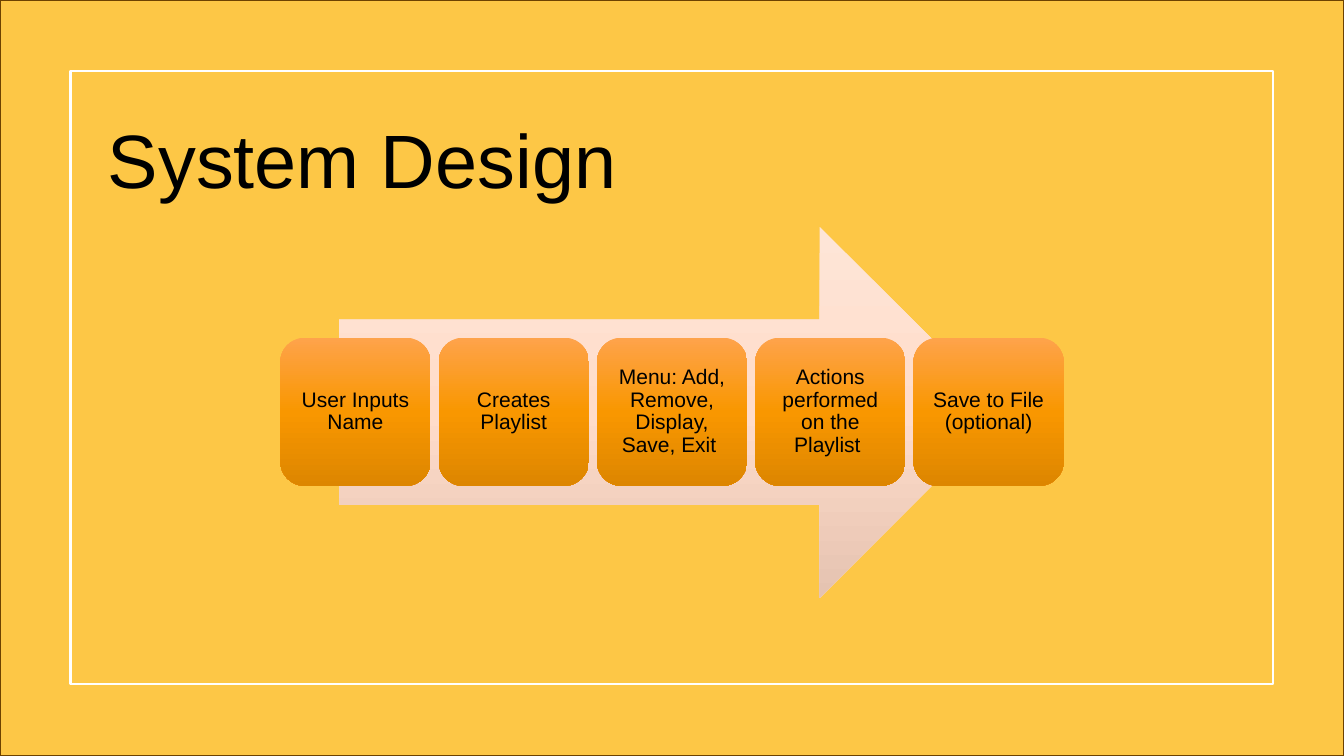
from dataclasses import dataclass

from lxml import etree
from pptx import Presentation
from pptx.dml.color import RGBColor
from pptx.enum.shapes import MSO_SHAPE as Preset
from pptx.enum.text import MSO_ANCHOR as Anchor, MSO_AUTO_SIZE as AutoSize, PP_ALIGN as Align
from pptx.oxml.ns import qn
from pptx.util import Inches, Pt


@dataclass(frozen=True)
class Theme:
    font: str = "Arial"
    text: str = "000000"
    background: str = "FDC746"
    edge: str = "6D4200"
    frame: str = "FFFFFF"
    arrow: tuple = ("FEE5D7", "FFDCCA", "E5C3B1")
    step: tuple = ("FEA34B", "F99700", "DD8600")
    title_size: int = 54
    step_size: int = 15


THEME = Theme()
STEPS = (
    "User Inputs Name",
    "Creates Playlist",
    "Menu: Add, Remove, Display, Save, Exit ",
    "Actions performed on the Playlist ",
    "Save to File (optional)",
)
STEP_LEFT, STEP_TOP, STEP_PITCH = 2.78, 3.35, 1.57
STEP_WIDTH, STEP_HEIGHT = 1.49, 1.47


def add_preset(slide, preset, left, top, width, height):
    shape = slide.shapes.add_shape(
        preset, Inches(left), Inches(top), Inches(width), Inches(height))
    shape.shadow.inherit = False
    return shape


def add_outline(slide, left, top, width, height, color, weight):
    outline = add_preset(slide, Preset.RECTANGLE, left, top, width, height)
    outline.fill.background()
    outline.line.color.rgb = RGBColor.from_string(color)
    outline.line.width = Pt(weight)


def fill_downward(shape, colors):
    """Fill with evenly spaced colours running from top to bottom."""
    shape.line.fill.background()
    shape.fill.gradient()
    shape.fill.gradient_angle = 270
    stops = shape.fill._fill._gradFill.find(qn("a:gsLst"))
    for stop in list(stops):
        stops.remove(stop)
    for index, color in enumerate(colors):
        position = 100000 * index // (len(colors) - 1)
        stop = etree.SubElement(stops, qn("a:gs"), pos=str(position))
        etree.SubElement(stop, qn("a:srgbClr"), val=color)


def write(frame, text, size, align, anchor):
    frame.word_wrap = True
    frame.auto_size = AutoSize.NONE
    frame.vertical_anchor = anchor
    paragraph = frame.paragraphs[0]
    paragraph.alignment = align
    run = paragraph.add_run()
    run.text = text
    run.font.name = THEME.font
    run.font.size = Pt(size)
    run.font.color.rgb = RGBColor.from_string(THEME.text)
    return paragraph


def add_title(slide, text):
    title = slide.shapes.title
    title.left, title.top = Inches(0.97), Inches(1.06)
    title.width, title.height = Inches(9.69), Inches(1.01)
    write(title.text_frame, text, THEME.title_size, Align.LEFT, Anchor.BOTTOM)


def add_step(slide, index, text):
    step = add_preset(slide, Preset.ROUNDED_RECTANGLE,
                      STEP_LEFT + index * STEP_PITCH, STEP_TOP, STEP_WIDTH, STEP_HEIGHT)
    fill_downward(step, THEME.step)
    frame = step.text_frame
    frame.margin_left = frame.margin_right = Inches(0.06)
    frame.margin_top = frame.margin_bottom = Inches(0.06)
    label = write(frame, text, THEME.step_size, Align.CENTER, Anchor.MIDDLE)
    label.line_spacing = 0.9


def main():
    deck = Presentation()
    deck.slide_width, deck.slide_height = Inches(13.33), Inches(7.5)
    slide = deck.slides.add_slide(deck.slide_layouts.get_by_name("Title Only"))

    # Background and frame
    slide.background.fill.solid()
    slide.background.fill.fore_color.rgb = RGBColor.from_string(THEME.background)
    add_outline(slide, 0, 0, 13.33, 7.5, THEME.edge, 1)
    add_outline(slide, 0.7, 0.7, 11.93, 6.09, THEME.frame, 1.5)

    add_title(slide, "System Design")

    # Process arrow with its steps
    arrow = add_preset(slide, Preset.RIGHT_ARROW, 3.36, 2.25, 6.61, 3.68)
    fill_downward(arrow, THEME.arrow)
    for index, text in enumerate(STEPS):
        add_step(slide, index, text)

    deck.save("out.pptx")


if __name__ == "__main__":
    main()
